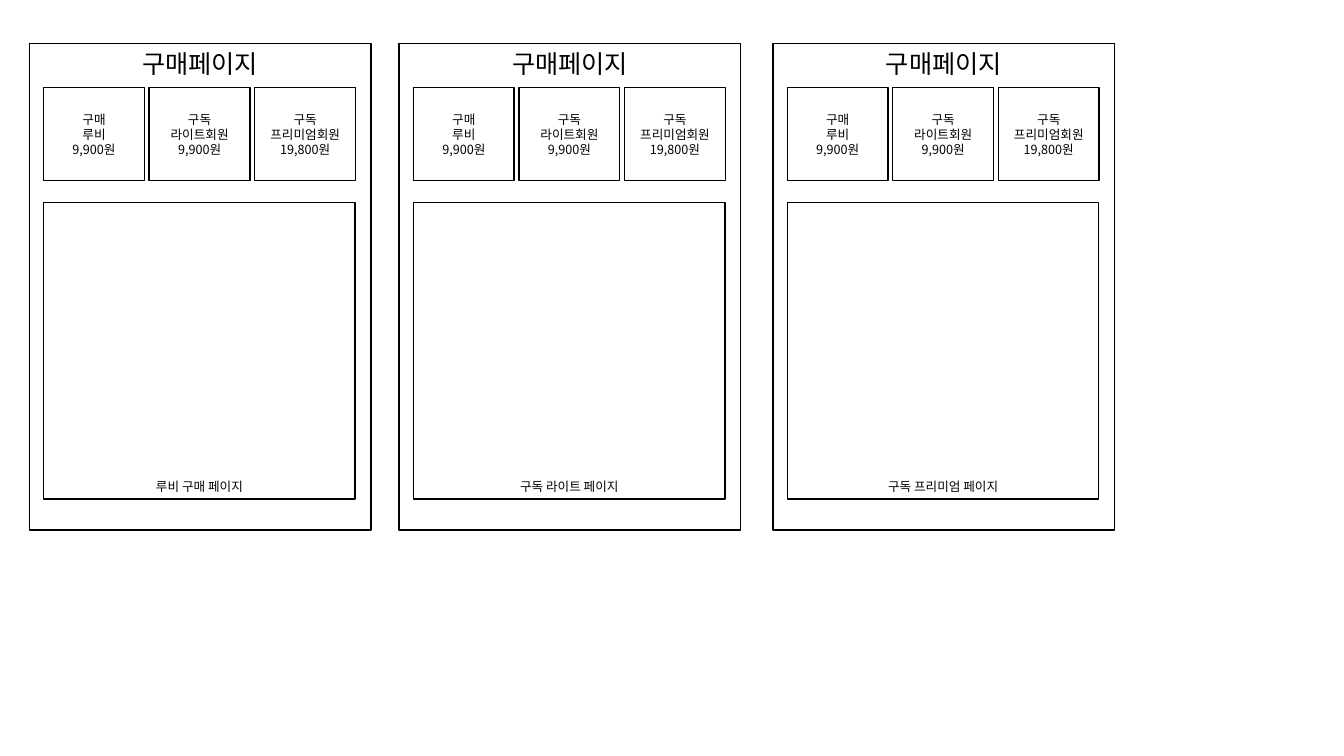
from pptx import Presentation
from pptx.dml.color import RGBColor
from pptx.enum.shapes import MSO_SHAPE
from pptx.enum.text import MSO_ANCHOR, PP_ALIGN
from pptx.oxml.ns import qn
from pptx.util import Cm, Pt

RECT = MSO_SHAPE.RECTANGLE
TOP, MIDDLE, BOTTOM = MSO_ANCHOR.TOP, MSO_ANCHOR.MIDDLE, MSO_ANCHOR.BOTTOM
CENTER = PP_ALIGN.CENTER
FONT = "Noto Sans CJK KR"
LINE_HEIGHT = 1.19


def rgb(value):
    return RGBColor.from_string(value)


def add_box(shapes, left, top, width, height, lines, size, anchor):
    sp = shapes.add_shape(RECT, Cm(left), Cm(top), Cm(width), Cm(height))
    sp.shadow.inherit = False
    sp.fill.background()
    sp.line.color.rgb = rgb("000000")
    sp.line.width = Pt(1)
    tf = sp.text_frame
    tf.word_wrap = True
    tf.vertical_anchor = anchor
    for i, text in enumerate(lines):
        p = tf.paragraphs[0] if i == 0 else tf.add_paragraph()
        for name, value in {"alignment": CENTER,
                            "line_spacing": Pt(size * LINE_HEIGHT)}.items():
            setattr(p, name, value)
        r = p.add_run()
        r.text = text
        for name, value in {"name": FONT, "size": Pt(size)}.items():
            setattr(r.font, name, value)
        r.font.color.rgb = rgb("000000")
        ea = r.font._element.makeelement(qn("a:ea"), {"typeface": FONT})
        r.font._element.append(ea)


prs = Presentation()
prs.slide_width, prs.slide_height = Cm(33.87), Cm(19.05)
slide = prs.slides.add_slide(prs.slide_layouts[6])

panels = [
    (0.74, "루비 구매 페이지"),
    (10.06, "구독 라이트 페이지"),
    (19.48, "구독 프리미엄 페이지"),
]
cards = [
    ("구매", "루비", "9,900원"),
    ("구독", "라이트회원", "9,900원"),
    ("구독", "프리미엄회원", "19,800원"),
]
card_pitch = 2.66

for left, label in panels:
    inner = left + 0.36
    add_box(slide.shapes, left, 1.09, 8.61, 12.27, ["구매페이지"], 18, TOP)
    for i, lines in enumerate(cards):
        add_box(slide.shapes, inner + i * card_pitch, 2.21, 2.54, 2.34, lines, 9, MIDDLE)
    add_box(slide.shapes, inner, 5.11, 7.85, 7.47, [label], 9, BOTTOM)

prs.save("out.pptx")
